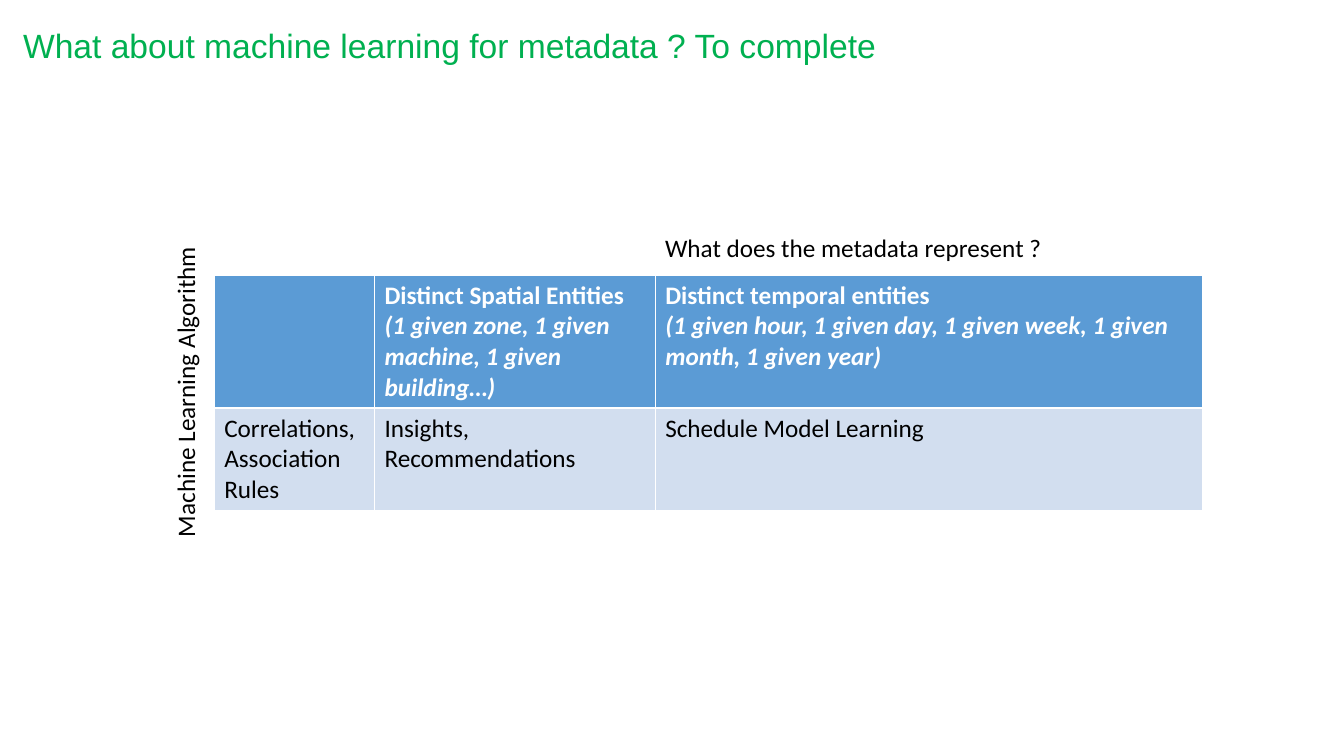
from pptx import Presentation
from pptx.dml.color import RGBColor
from pptx.enum.text import MSO_ANCHOR, MSO_AUTO_SIZE, PP_ALIGN
from pptx.util import Pt

LEFT = PP_ALIGN.LEFT
TOP = MSO_ANCHOR.TOP
GROW = MSO_AUTO_SIZE.SHAPE_TO_FIT_TEXT

GREEN = RGBColor(0x00, 0xB0, 0x50)
BLUE = RGBColor(0x5B, 0x9B, 0xD5)
PALE = RGBColor(0xD2, 0xDE, 0xEF)
WHITE = RGBColor(0xFF, 0xFF, 0xFF)
BLACK = RGBColor(0x00, 0x00, 0x00)

WIDTHS = [114.5, 200.5, 391]
HEIGHTS = [95, 73]

# Each cell is a list of paragraphs
HEADS = [
    [],
    ["Distinct Spatial Entities ", "(1 given zone, 1 given machine, 1 given building…)"],
    ["Distinct temporal entities",
     "(1 given hour, 1 given day, 1 given week, 1 given month, 1 given year)"],
]
USES = [
    ["Correlations, Association Rules"],
    ["Insights,", "Recommendations"],
    ["Schedule Model Learning"],
]


def add_run(para, text, color, size=18, face="Calibri", bold=False, italic=False):
    run = para.add_run()
    run.text = text
    font = run.font
    font.name, font.size = face, Pt(size)
    font.bold, font.italic = bold, italic
    font.color.rgb = color


def add_title(slide, text):
    title = slide.shapes.title
    title.left, title.top, title.width, title.height = Pt(15), Pt(18), Pt(918), Pt(29)
    frame = title.text_frame
    frame.margin_left = frame.margin_top = frame.margin_right = frame.margin_bottom = 0
    frame.vertical_anchor = TOP
    frame.auto_size = GROW
    para = frame.paragraphs[0]
    para.alignment = LEFT
    para.space_before = para.space_after = Pt(6.7)
    props = para._p.get_or_add_pPr()
    props.set("marL", str(Pt(18)))
    props.set("indent", str(Pt(-16.5)))
    add_run(para, text, GREEN, 24, "Arial")


def add_label(slide, text, left, top, width, turn=0):
    box = slide.shapes.add_textbox(Pt(left), Pt(top), Pt(width), Pt(29))
    box.rotation = turn
    frame = box.text_frame
    frame.word_wrap = True
    frame.auto_size = GROW
    add_run(frame.paragraphs[0], text, BLACK)


def fill_cell(cell, lines, head):
    cell.fill.solid()
    cell.fill.fore_color.rgb = BLUE if head else PALE
    frame = cell.text_frame
    for i, line in enumerate(lines):
        para = frame.add_paragraph() if i else frame.paragraphs[0]
        add_run(para, line, WHITE if head else BLACK, bold=head, italic=head and i > 0)


def add_grid(slide):
    rows = [HEADS, USES]
    grid = slide.shapes.add_table(
        len(rows), len(WIDTHS), Pt(153), Pt(196.5), Pt(sum(WIDTHS)), Pt(sum(HEIGHTS))
    ).table
    for col, width in zip(grid.columns, WIDTHS):
        col.width = Pt(width)
    for r, row in enumerate(rows):
        grid.rows[r].height = Pt(HEIGHTS[r])
        for c, lines in enumerate(row):
            fill_cell(grid.cell(r, c), lines, r == 0)


def main():
    deck = Presentation()
    deck.slide_width, deck.slide_height = Pt(960), Pt(540)
    slide = deck.slides.add_slide(deck.slide_layouts[5])

    # Table with its two axis labels
    add_grid(slide)
    add_label(slide, "Machine Learning Algorithm", 3, 247, 258.5, 270)
    add_label(slide, "What does the metadata represent ?", 468, 162.5, 305)

    # Heading
    add_title(slide, "What about machine learning for metadata ? To complete")
    deck.save("out.pptx")


if __name__ == "__main__":
    main()
